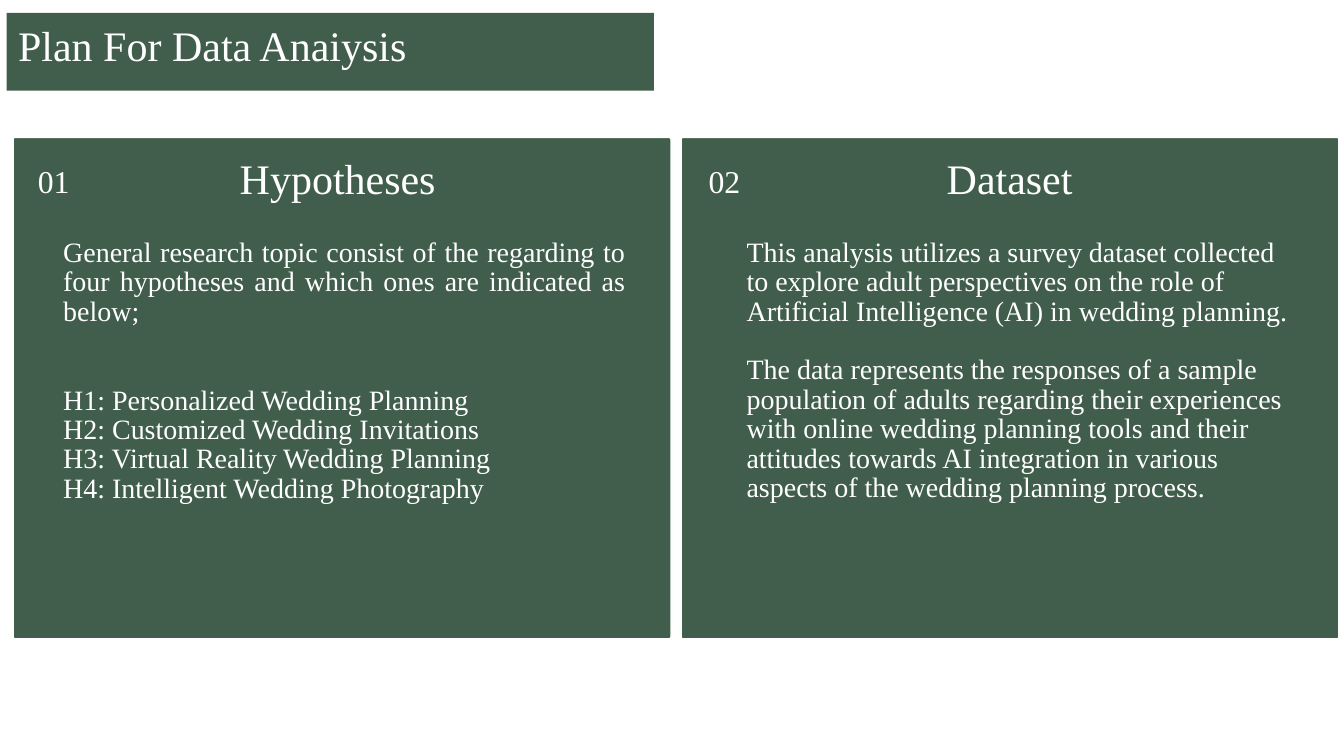
from dataclasses import dataclass

from pptx import Presentation
from pptx import util as u
from pptx.dml.color import RGBColor
from pptx.enum import shapes, text


@dataclass(frozen=True)
class Theme:
    green: RGBColor = RGBColor(0x40, 0x5E, 0x4B)
    white: RGBColor = RGBColor(0xFF, 0xFF, 0xFF)
    font: str = "Times New Roman"
    heading: int = 45
    number: int = 34
    body: int = 30
    leading: float = 1.05
    border: float = 3.75


class Deck:
    """Draws panels and text on one slide in a shared theme."""

    def __init__(self, slide, theme):
        self.slide = slide
        self.theme = theme

    def panel(self, left, top, width, height, kind=shapes.MSO_SHAPE.RECTANGLE):
        panel = self.slide.shapes.add_shape(
            kind, u.Inches(left), u.Inches(top), u.Inches(width), u.Inches(height))
        panel.shadow.inherit = False
        panel.fill.solid()
        panel.fill.fore_color.rgb = self.theme.green
        panel.line.fill.background()
        return panel

    def card(self, left, top, width, height):
        card = self.panel(left, top, width, height, shapes.MSO_SHAPE.ROUNDED_RECTANGLE)
        card.adjustments[0] = 0.04 / height
        card.line.color.rgb = self.theme.white
        card.line.width = u.Pt(self.theme.border)

    def words(self, left, top, width, height, lines, size, align, gap=0):
        box = self.slide.shapes.add_textbox(
            u.Inches(left), u.Inches(top), u.Inches(width), u.Inches(height))
        frame = box.text_frame
        frame.word_wrap = True
        frame.auto_size = text.MSO_AUTO_SIZE.SHAPE_TO_FIT_TEXT
        frame.margin_left = frame.margin_top = frame.margin_right = frame.margin_bottom = 0
        for index, line in enumerate(lines):
            paragraph = frame.paragraphs[0] if index == 0 else frame.add_paragraph()
            paragraph.text = line
            paragraph.alignment = align
            paragraph.line_spacing = u.Pt(size * self.theme.leading)
            if index and gap:
                paragraph.space_before = u.Pt(gap)
            paragraph.font.name = self.theme.font
            paragraph.font.size = u.Pt(size)
            paragraph.font.color.rgb = self.theme.white


def main():
    presentation = Presentation()
    presentation.slide_width = u.Inches(20)
    presentation.slide_height = u.Inches(11.25)
    theme = Theme()
    deck = Deck(presentation.slides.add_slide(presentation.slide_layouts[6]), theme)
    left, center, justify = text.PP_ALIGN.LEFT, text.PP_ALIGN.CENTER, text.PP_ALIGN.JUSTIFY

    deck.panel(0.1, 0.19, 9.63, 1.16)
    deck.words(0.27, 0.39, 9.27, 1.44, ["Plan For Data Anaiysis"], theme.heading, justify)

    sections = [
        ("01", "Hypotheses", 0.18, 0.47, 3.26),
        ("02", "Dataset", 10.12, 10.45, 13.26),
    ]
    for number, heading, card_left, number_left, heading_left in sections:
        deck.card(card_left, 2.03, 9.82, 7.49)
        deck.words(number_left, 2.48, 0.66, 0.58, [number], theme.number, center)
        deck.words(heading_left, 2.37, 3.53, 0.78, [heading], theme.heading, center)

    introduction = [
        "General research topic consist of the regarding to four hypotheses "
        "and which ones are indicated as below;",
    ]
    hypotheses = [
        "H1: Personalized Wedding Planning",
        "H2: Customized Wedding Invitations",
        "H3: Virtual Reality Wedding Planning",
        "H4: Intelligent Wedding Photography",
    ]
    dataset = [
        "This analysis utilizes a survey dataset collected to explore adult perspectives "
        "on the role of Artificial Intelligence (AI) in wedding planning.",
        "The data represents the responses of a sample population of adults regarding "
        "their experiences with online wedding planning tools and their attitudes towards "
        "AI integration in various aspects of the wedding planning process.",
    ]
    deck.words(0.94, 3.55, 8.37, 1.4, introduction, theme.body, justify)
    deck.words(0.94, 5.75, 8.37, 2.27, hypotheses, theme.body, justify)
    deck.words(11.11, 3.55, 8.29, 4.9, dataset, theme.body, left,
               gap=theme.body * theme.leading)

    presentation.save("out.pptx")


if __name__ == "__main__":
    main()
